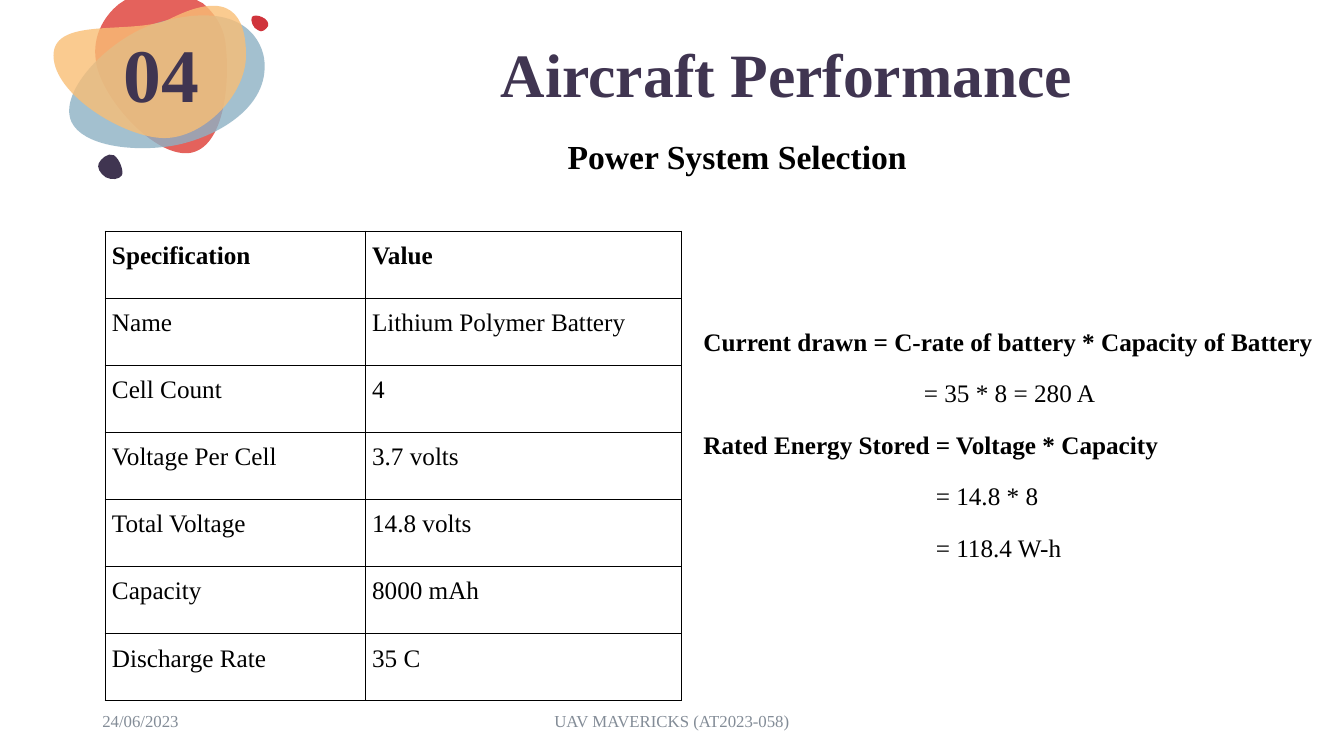
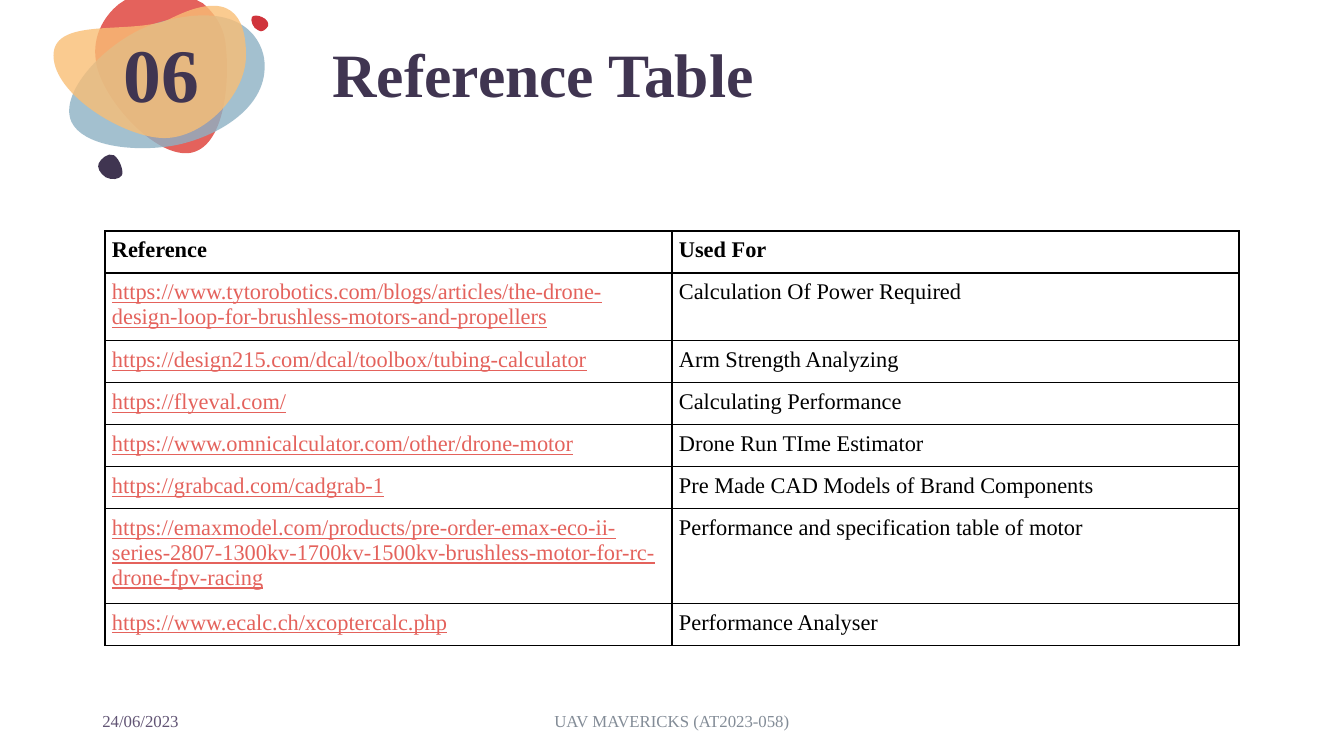
from lxml.etree import SubElement
from pptx import Presentation
from pptx.dml.color import RGBColor
from pptx.enum.text import MSO_ANCHOR as ANCHOR, PP_ALIGN as ALIGN
from pptx.oxml.ns import qn
from pptx.util import Pt

FONT = "Times New Roman"
INK, BLACK, WHITE, CORAL, GREY, PLUM = "403551", "000000", "FFFFFF", "E4625C", "838C97", "615474"

BLOBS = [
    (CORAL, 100, (29.7, 0, 94.3, 109.4), [
        [(51.3, 0)], [(102.4, 0)], [(106.7, 2.2)],
        [(116.1, 10.1), (122.6, 20.9), (123.3, 33.1)],
        [(126.2, 58.3), (122.6, 106.6), (96.6, 109.4)],
        [(70.7, 111.6), (32.6, 67.7), (30.4, 42.5)],
        [(28.2, 26.6), (35.4, 12.2), (47, 2.9)]]),
    ("8DB1C4", 80, (11.7, 10.8, 139.7, 95), [
        [(13.1, 87.1)],
        [(21, 103.7), (54.9, 108.7), (83.7, 104.4)],
        [(111.8, 100.1), (156.4, 78.5), (150.6, 41)],
        [(147.8, 25.9), (131.9, -0.7), (73.6, 16.6)],
        [(41.2, 26.6), (3, 64.8), (13.1, 87.1)]]),
    ("F9BE75", 80, (0.2, 4.3, 137.5, 94.3), [
        [(0.2, 39.6)],
        [(0.2, 67.7), (51.3, 98.6), (79.4, 98.6)],
        [(107.4, 98.6), (137.7, 67.7), (137.7, 39.6)],
        [(137.7, 10.8), (126.2, -7.9), (84.4, 13)],
        [(59.2, 25.9), (0.2, 10.8), (0.2, 39.6)]]),
    (INK, 100, (31.8, 110.2, 17.3, 17.3), [
        [(49.1, 125.3)],
        [(50.6, 122.4), (47.7, 113.8), (43.4, 110.9)],
        [(39, 108.7), (34, 113.8), (32.6, 116.6)],
        [(31.1, 119.5), (33.3, 123.8), (37.6, 126.7)],
        [(41.9, 128.9), (47, 128.2), (49.1, 125.3)]]),
    ("D0343C", 100, (141.3, 10.8, 11.5, 11.5), [
        [(142, 12.2)],
        [(140.6, 14.4), (142.7, 20.2), (146.3, 21.6)],
        [(149.2, 23.8), (152.1, 20.9), (153.5, 18.7)],
        [(154.2, 16.6), (152.8, 13.7), (149.2, 12.2)],
        [(146.3, 10.8), (142.7, 10.8), (142, 12.2)]]),
]

BATTERY = [
    ("Specification", "Value"),
    ("Name", "Lithium Polymer Battery"),
    ("Cell Count", "4"),
    ("Voltage Per Cell", "3.7 volts"),
    ("Total Voltage", "14.8 volts"),
    ("Capacity", "8000 mAh"),
    ("Discharge Rate", "35 C"),
]
EQUATIONS = [
    ("Current drawn = C-rate of battery * Capacity of Battery", 0, True),
    ("= 35 * 8 = 280 A", 157.5, False),
    ("Rated Energy Stored = Voltage * Capacity", 0, True),
    ("= 14.8 * 8", 166, False),
    ("= 118.4 W-h", 166, False),
]
REFERENCES = [
    ("Reference", "Used For"),
    ("https://www.tytorobotics.com/blogs/articles/the-drone-design-loop-for-brushless-motors-and-propellers",
     "Calculation Of Power Required"),
    ("https://design215.com/dcal/toolbox/tubing-calculator", "Arm Strength Analyzing"),
    ("https://flyeval.com/", "Calculating Performance"),
    ("https://www.omnicalculator.com/other/drone-motor", "Drone Run TIme Estimator"),
    ("https://grabcad.com/cadgrab-1", "Pre Made CAD Models of Brand Components"),
    ("https://emaxmodel.com/products/pre-order-emax-eco-ii-series-2807-1300kv-1700kv-1500kv"
     "-brushless-motor-for-rc-drone-fpv-racing", "Performance and specification table of motor"),
    ("https://www.ecalc.ch/xcoptercalc.php", "Performance Analyser"),
]


def rgb(color):
    """Turn a hex string into a colour."""
    return RGBColor.from_string(color)


def style(p, size, color=BLACK, bold=False, align=ALIGN.LEFT, spacing=1.0):
    """Set the font and layout of a paragraph."""
    p.alignment, p.line_spacing = align, spacing
    f = p.font
    f.name, f.size, f.bold = FONT, Pt(size), bold
    f.color.rgb = rgb(color)


def add_box(s, box, anchor=ANCHOR.MIDDLE, inset=3.6):
    """Add an empty wrapping text box and return its text frame."""
    tf = s.shapes.add_textbox(*map(Pt, box)).text_frame
    tf.word_wrap, tf.vertical_anchor = True, anchor
    tf.margin_top = tf.margin_bottom = Pt(inset)
    return tf


def add_text(s, box, text, size, **look):
    """Add a one-paragraph text box."""
    p = add_box(s, box).paragraphs[0]
    p.text = text
    style(p, size, **look)


def add_blob(s, left, top, color, opacity, box, segments):
    """Add a curved outline whose segments are a start, then lines or cubic curves."""
    x, y, width, height = box
    builder = s.shapes.build_freeform(Pt(left + x), Pt(top + y))
    builder.add_line_segments([(Pt(left + x + width), Pt(top + y + height))], close=True)
    sp = builder.convert_to_shape()
    sp.shadow.inherit = False
    sp.line.fill.background()
    sp.fill.solid()
    sp.fill.fore_color.rgb = rgb(color)
    spPr = sp._element.spPr
    if opacity < 100:
        clr = spPr.find(qn("a:solidFill")).find(qn("a:srgbClr"))
        SubElement(clr, qn("a:alpha"), val=str(opacity * 1000))
    outline = spPr.find(".//" + qn("a:path"))
    for child in list(outline):
        outline.remove(child)
    for i, points in enumerate(segments):
        tag = "a:moveTo" if i == 0 else "a:lnTo" if len(points) == 1 else "a:cubicBezTo"
        step = SubElement(outline, qn(tag))
        for px, py in points:
            SubElement(step, qn("a:pt"), x=str(Pt(px - x)), y=str(Pt(py - y)))
    SubElement(outline, qn("a:close"))


def add_badge(s, left, top, number):
    """Draw the coloured blobs with the section number on them."""
    for blob in BLOBS:
        add_blob(s, left, top, *blob)
    add_text(s, (left + 31.3, top + 11.2, 91.5, 88.5), number, 54, color=INK, bold=True,
             align=ALIGN.CENTER, spacing=0.9)


def add_footer(s, left, top, date_color):
    """Add the date and the team name."""
    add_text(s, (left, top, 216, 28.8), "24/06/2023", 12, color=date_color)
    add_text(s, (left + 252, top, 324, 28.8), "UAV MAVERICKS (AT2023-058)", 12, color=GREY,
             align=ALIGN.CENTER)


def add_frame(prs, number, title, align, date_color):
    """Add a slide with badge, title and footer."""
    s = prs.slides.add_slide(prs.slide_layouts[6])
    add_badge(s, 38, 0, number)
    add_text(s, (230.2, 10.8, 663.8, 89.3), title, 44, color=INK, bold=True, align=align, spacing=0.9)
    add_footer(s, 66, 500.4, date_color)
    return s


def add_borders(cell, width):
    """Draw black lines on all four sides of a cell."""
    tcPr = cell._tc.get_or_add_tcPr()
    for side in ("a:lnL", "a:lnR", "a:lnT", "a:lnB"):
        ln = SubElement(tcPr, qn(side), w=str(Pt(width)))
        SubElement(SubElement(ln, qn("a:solidFill")), qn("a:srgbClr"), val=BLACK)


def add_grid(s, left, top, widths, row_height, rows, size, border, spacing=1.0, links=False):
    """Add a ruled table with a bold first row; links underlines the first column."""
    table = s.shapes.add_table(len(rows), len(widths), Pt(left), Pt(top),
                               Pt(sum(widths)), Pt(row_height * len(rows))).table
    table.first_row = table.horz_banding = False
    for column, width in zip(table.columns, widths):
        column.width = Pt(width)
    for i, (row, texts) in enumerate(zip(table.rows, rows)):
        row.height = Pt(row_height)
        for j, (cell, text) in enumerate(zip(row.cells, texts)):
            add_borders(cell, border)
            cell.fill.solid()
            cell.fill.fore_color.rgb = rgb(WHITE)
            cell.margin_left = cell.margin_right = cell.margin_top = cell.margin_bottom = Pt(5)
            p = cell.text_frame.paragraphs[0]
            p.text = text
            link = links and i > 0 and j == 0
            style(p, size, CORAL if link else BLACK, bold=i == 0, spacing=spacing)
            p.font.underline = link


def add_equations(s, box):
    """Add the worked formulas with their results indented."""
    tf = add_box(s, box, ANCHOR.TOP, 7.2)
    for i, (text, indent, bold) in enumerate(EQUATIONS):
        p = tf.add_paragraph() if i else tf.paragraphs[0]
        p.text = text
        style(p, 18, bold=bold, spacing=1.15)
        p._p.get_or_add_pPr().set("marL", str(Pt(indent)))
        if i:
            p.space_before = Pt(12)


def build_power(prs):
    """Build the power system slide."""
    s = add_frame(prs, "04", "Aircraft Performance", ALIGN.CENTER, GREY)
    add_text(s, (398.4, 93.3, 328.3, 36), "Power System Selection", 24, bold=True)
    add_grid(s, 75, 165, (185.8, 226), 47.92, BATTERY, 18, 0.6, 1.15)
    add_equations(s, (495.4, 222.5, 458.6, 224.6))


def build_references(prs):
    """Build the reference table slide."""
    s = add_frame(prs, "06", "Reference Table", ALIGN.LEFT, PLUM)
    add_grid(s, 75, 165, (405, 405), 30, REFERENCES, 16, 1, links=True)


def main():
    """Build and save the deck."""
    prs = Presentation()
    prs.slide_width, prs.slide_height = Pt(960), Pt(540)
    build_power(prs)
    build_references(prs)
    prs.save("out.pptx")


if __name__ == "__main__":
    main()
